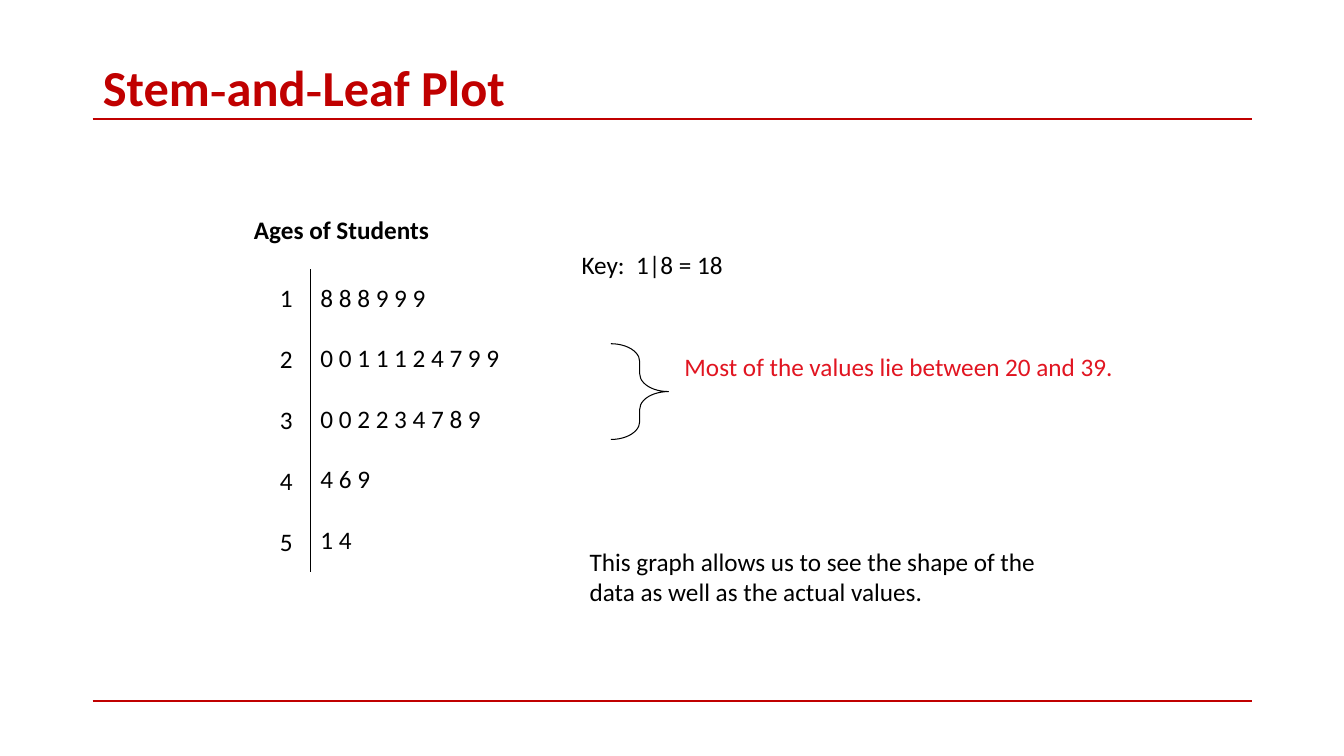
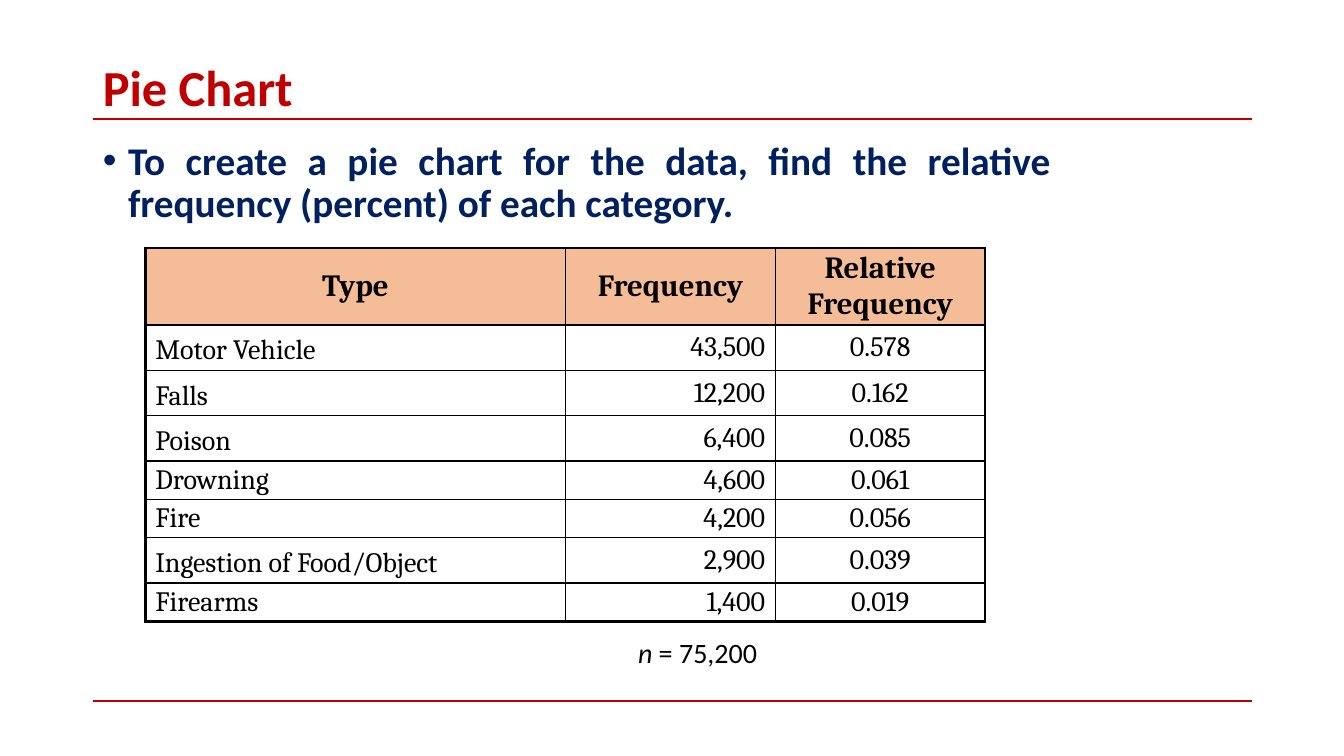
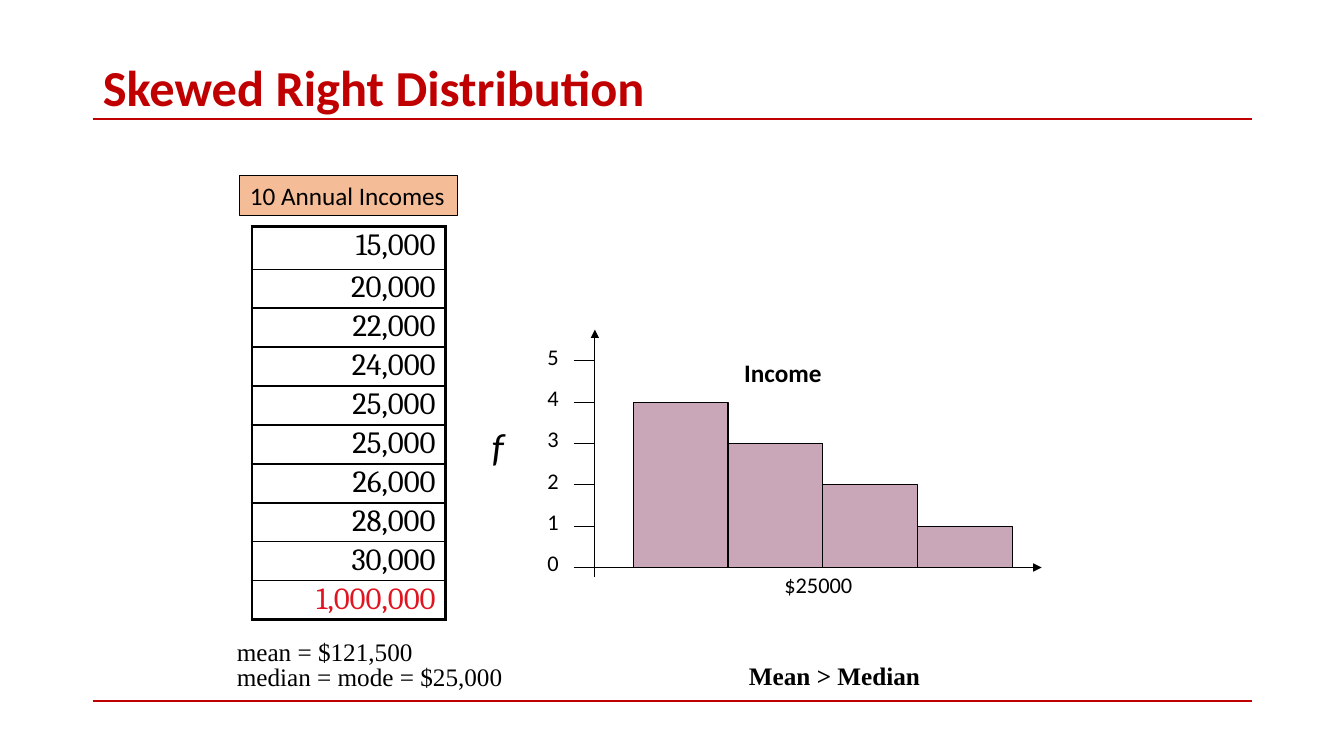
from typing import NamedTuple, Optional, Union

from lxml import etree
from pptx import Presentation
from pptx.dml.color import RGBColor
from pptx.enum.shapes import MSO_CONNECTOR, MSO_SHAPE, PP_PLACEHOLDER
from pptx.enum.text import MSO_ANCHOR, MSO_AUTO_SIZE, PP_ALIGN
from pptx.oxml.ns import qn
from pptx.util import Inches, Pt

LEFT, CENTER, RIGHT, JUSTIFY = (
    PP_ALIGN.LEFT, PP_ALIGN.CENTER, PP_ALIGN.RIGHT, PP_ALIGN.JUSTIFY)
TOP, MIDDLE = MSO_ANCHOR.TOP, MSO_ANCHOR.MIDDLE
NO_FIT = MSO_AUTO_SIZE.NONE
STRAIGHT = MSO_CONNECTOR.STRAIGHT
RECT, BRACE = MSO_SHAPE.RECTANGLE, MSO_SHAPE.RIGHT_BRACE
TITLE = PP_PLACEHOLDER.TITLE

CRIMSON, RED, NAVY = "C00000", "E11521", "002060"
BLACK, ORANGE, PLUM = "000000", "ED7D31", "954F72"
SANS, SERIF, TIMES = "Calibri", "Cambria", "Times New Roman"
TITLE_ONLY, TITLE_AND_BODY = 5, 1
THIN, THICK = 1, 2.25


class Run(NamedTuple):
    text: str
    font: Optional[str] = None
    italic: Optional[bool] = None


class Box(NamedTuple):
    x: float
    y: float
    w: float
    h: float

    def emu(self) -> list:
        return [Inches(v) for v in self]


class Note(NamedTuple):
    box: Box
    text: Union[str, list]
    style: dict


class Hazard(NamedTuple):
    kind: str
    frequency: str
    relative: str
    height: float
    spacing: float


def rgb(color: str) -> RGBColor:
    return RGBColor.from_string(color)


def write(tf, *paragraphs, size=18, font=SANS, color=BLACK, bold=False, italic=False,
          align=LEFT, spacing=None, before=0) -> None:
    """Fill a text frame; each paragraph is a string or a list of runs."""
    for i, content in enumerate(paragraphs):
        p = tf.paragraphs[0] if i == 0 else tf.add_paragraph()
        p.alignment = align
        p.space_before = Pt(before if i else 0)
        if spacing:
            p.line_spacing = spacing
        for run in [Run(content)] if isinstance(content, str) else content:
            r = p.add_run()
            r.text = run.text
            r.font.size, r.font.name = Pt(size), run.font or font
            r.font.bold = bold
            r.font.italic = italic if run.italic is None else run.italic
            r.font.color.rgb = rgb(color)


def add_text(s, box: Box, *paragraphs, inset=True, **style) -> None:
    tf = s.shapes.add_textbox(*box.emu()).text_frame
    tf.word_wrap = True
    if not inset:
        tf.margin_left = tf.margin_right = tf.margin_top = tf.margin_bottom = 0
    write(tf, *paragraphs, **style)


def add_line(s, x1, y1, x2, y2, color=BLACK, width=0.87, arrow=False):
    line = s.shapes.add_connector(STRAIGHT, *[Inches(v) for v in (x1, y1, x2, y2)])
    line.line.color.rgb, line.line.width = rgb(color), Pt(width)
    if arrow:
        etree.SubElement(line.line._get_or_add_ln(), qn("a:tailEnd"), type="triangle")
    etree.SubElement(line._element.spPr, qn("a:effectLst"))
    return line


def tint(fill, color: str) -> None:
    """Solid fill at half transparency."""
    fill.solid()
    fill.fore_color.rgb = rgb(color)
    srgb = fill._xPr.find(f"{qn('a:solidFill')}/{qn('a:srgbClr')}")
    etree.SubElement(srgb, qn("a:alpha"), val="50000")


def add_outlined(s, kind, box: Box, fill: Optional[str] = None, width=0.75):
    shape = s.shapes.add_shape(kind, *box.emu())
    shape.shadow.inherit = False
    shape.line.color.rgb, shape.line.width = rgb(BLACK), Pt(width)
    if fill:
        tint(shape.fill, fill)
    else:
        shape.fill.background()
    return shape


def add_grid(s, x, y, widths: list, heights: list):
    """Unstyled table with thin inner and thick outer borders."""
    rows, cols = len(heights), len(widths)
    frame = s.shapes.add_table(rows, cols, *Box(x, y, sum(widths), sum(heights)).emu())
    table = frame.table
    table.first_row = table.horz_banding = False
    for col, w in zip(table.columns, widths):
        col.width = Inches(w)
    for row, h in zip(table.rows, heights):
        row.height = Inches(h)
    for i in range(rows):
        for j in range(cols):
            cell = table.cell(i, j)
            outer = {"L": j == 0, "R": j == cols - 1, "T": i == 0, "B": i == rows - 1}
            tc_pr = cell._tc.get_or_add_tcPr()
            for side, thick in outer.items():
                width = Pt(THICK if thick else THIN)
                ln = etree.SubElement(tc_pr, qn(f"a:ln{side}"), w=str(int(width)))
                solid = etree.SubElement(ln, qn("a:solidFill"))
                etree.SubElement(solid, qn("a:srgbClr"), val=BLACK)
            cell.fill.background()
    return table


def write_cell(cell, text: str, margin: float, anchor, **style) -> None:
    cell.margin_left = cell.margin_right = Inches(0.1)
    cell.margin_top = cell.margin_bottom = Inches(margin)
    cell.vertical_anchor = anchor
    write(cell.text_frame, text, font=SERIF, **style)


def place(shape, box: Box) -> None:
    shape.left, shape.top, shape.width, shape.height = box.emu()


def style_master(prs, s) -> None:
    """Title position and two red rules shared by all slides."""
    master = prs.slide_master
    title = master.placeholders.get(TITLE)
    place(title, Box(0.92, 0.61, 11.5, 0.58))
    title.text_frame.vertical_anchor = MIDDLE
    title.text_frame.auto_size = NO_FIT
    for i, y in enumerate((1.18, 6.95)):
        rule = add_line(s, 0.92, y, 12.42, y, CRIMSON, 1.5)
        rule._element.xpath(".//p:cNvPr")[0].set("id", str(20 + i))
        master.shapes._spTree.append(rule._element)


def add_slide(prs, layout: int, title):
    s = prs.slides.add_slide(prs.slide_layouts[layout])
    write(s.shapes.title.text_frame, title, size=36, color=CRIMSON, bold=True, spacing=0.9)
    return s


def build_stem_plot(prs):
    hyphen = Run("-", TIMES)
    s = add_slide(prs, TITLE_ONLY,
                  [Run("Stem"), hyphen, Run("and"), hyphen, Run("Leaf Plot")])
    # Stems and leaves
    leaves = ["8 8 8 9 9 9", "0 0 1 1 1 2 4 7 9 9", "0 0 2 2 3 4 7 8 9", "4 6 9", "1 4"]
    stems = [str(i + 1) for i in range(len(leaves))]
    add_text(s, Box(2.5, 2.75, 0.5, 2.83), *stems, align=RIGHT, before=22)
    add_line(s, 3.08, 2.67, 3.08, 5.67, width=0.75)
    for i, leaf in enumerate(leaves):
        add_text(s, Box(3.08, 2.75 + 0.6 * i, 3.92, 0.4), leaf)
    # Heading, key and remarks
    notes = [
        Note(Box(2.42, 2.08, 3.42, 0.4), "Ages of Students", {"bold": True}),
        Note(Box(5.67, 2.42, 2.5, 0.4), "Key:  1|8 = 18", {}),
        Note(Box(5.75, 5.37, 4.75, 0.71),
             "This graph allows us to see the shape of the data as well as the actual values.",
             {}),
        Note(Box(6.69, 3.44, 4.75, 0.82), "Most of the values lie between 20 and 39.",
             {"color": RED}),
    ]
    for note in notes:
        add_text(s, note.box, note.text, **note.style)
    brace = add_outlined(s, BRACE, Box(6.06, 3.41, 0.57, 0.95))
    brace.adjustments[0], brace.adjustments[1] = 0.31, 0.5
    return s


def build_pie_table(prs) -> None:
    s = add_slide(prs, TITLE_AND_BODY, "Pie Chart")
    # Bulleted instruction
    body = s.placeholders[1]
    place(body, Box(0.92, 1.35, 9.6, 0.95))
    tf = body.text_frame
    tf.auto_size = NO_FIT
    p_pr = tf.paragraphs[0]._p.get_or_add_pPr()
    p_pr.set("marL", str(Inches(0.25)))
    p_pr.set("indent", str(-Inches(0.25)))
    bullet_color = etree.SubElement(p_pr, qn("a:buClr"))
    etree.SubElement(bullet_color, qn("a:srgbClr"), val=NAVY)
    etree.SubElement(p_pr, qn("a:buChar"), char="•")
    write(tf, "To create a pie chart for the data, find the relative frequency (percent) "
          "of each category.", size=28, color=NAVY, bold=True, align=JUSTIFY, spacing=0.9)
    # Frequency table
    hazards = [
        Hazard("Motor Vehicle", "43,500", "0.578", 0.45, 1.2),
        Hazard("Falls", "12,200", "0.162", 0.45, 1.2),
        Hazard("Poison", "6,400", "0.085", 0.45, 1.2),
        Hazard("Drowning", "4,600", "0.061", 0.38, 1.0),
        Hazard("Fire", "4,200", "0.056", 0.38, 1.0),
        Hazard("Ingestion of Food/Object", "2,900", "0.039", 0.45, 1.2),
        Hazard("Firearms", "1,400", "0.019", 0.38, 1.0),
    ]
    table = add_grid(s, 1.44, 2.46, [4.17, 2.08, 2.08], [0.76] + [h.height for h in hazards])
    for j, head in enumerate(("Type", "Frequency", "Relative Frequency")):
        cell = table.cell(0, j)
        write_cell(cell, head, 0.03, MIDDLE, size=22, bold=True, align=CENTER)
        tint(cell.fill, ORANGE)
    for i, h in enumerate(hazards, 1):
        write_cell(table.cell(i, 0), h.kind, 0.03, MIDDLE, size=20, spacing=h.spacing)
        write_cell(table.cell(i, 1), h.frequency, 0.03, MIDDLE, size=20, align=RIGHT)
        write_cell(table.cell(i, 2), h.relative, 0.03, MIDDLE, size=20, align=CENTER)
    add_text(s, Box(6.23, 6.26, 2.33, 0.43), [Run("n", italic=True), Run(" = 75,200")], size=20)


def add_histogram(s, counts: list) -> None:
    base, unit, axis_x = 5.63, 0.41, 5.9
    first_bar, bar_w = 6.28, 0.94
    for i, count in enumerate(counts):
        h = unit * count
        add_outlined(s, RECT, Box(first_bar + bar_w * i, base - h, bar_w, h), PLUM, 0.88)
    # Scale and axes
    for value in range(6):
        y = base - unit * value
        add_text(s, Box(5.43, y - 0.18, 0.11, 0.27), str(value), size=16, inset=False)
        add_line(s, axis_x - 0.21, y, axis_x, y)
    add_line(s, axis_x, 5.72, axis_x, 3.27, arrow=True)
    add_line(s, 5.83, base, 10.33, base, arrow=True)
    # Labels
    add_text(s, Box(6.58, 3.5, 2.37, 0.4), "Income", bold=True, align=CENTER)
    add_text(s, Box(4.78, 4.14, 0.5, 0.57), "f", size=28, italic=True)
    add_text(s, Box(7.78, 5.67, 0.7, 0.27), "$25000", size=16, inset=False)


def build_skewed(prs) -> None:
    s = add_slide(prs, TITLE_ONLY, "Skewed Right Distribution")
    # Income list
    incomes = ["15,000", "20,000", "22,000", "24,000", "25,000",
               "25,000", "26,000", "28,000", "30,000", "1,000,000"]
    row_h = (3.9 - 0.42) / 9
    table = add_grid(s, 2.5, 2.25, [1.92], [0.42] + [row_h] * 9)
    for i, income in enumerate(incomes):
        color = RED if income == incomes[-1] else BLACK
        write_cell(table.cell(i, 0), income, 0.01, TOP, size=22, color=color, align=RIGHT)
    label = add_outlined(s, RECT, Box(2.38, 1.74, 2.16, 0.4), ORANGE)
    label.text_frame.vertical_anchor = TOP
    write(label.text_frame, "10 Annual Incomes")
    add_histogram(s, [4, 3, 2, 1])
    # Summary
    add_text(s, Box(2.25, 6.33, 5.42, 0.59), "mean = $121,500", "median = mode = $25,000",
             font=TIMES, spacing=0.75, before=1.8)
    add_text(s, Box(7.33, 6.5, 1.92, 0.4), "Mean > Median", font=TIMES, bold=True)


def main() -> None:
    prs = Presentation()
    prs.slide_width, prs.slide_height = Inches(13.33), Inches(7.5)
    stem_slide = build_stem_plot(prs)
    style_master(prs, stem_slide)
    build_pie_table(prs)
    build_skewed(prs)
    prs.save("out.pptx")


if __name__ == "__main__":
    main()
